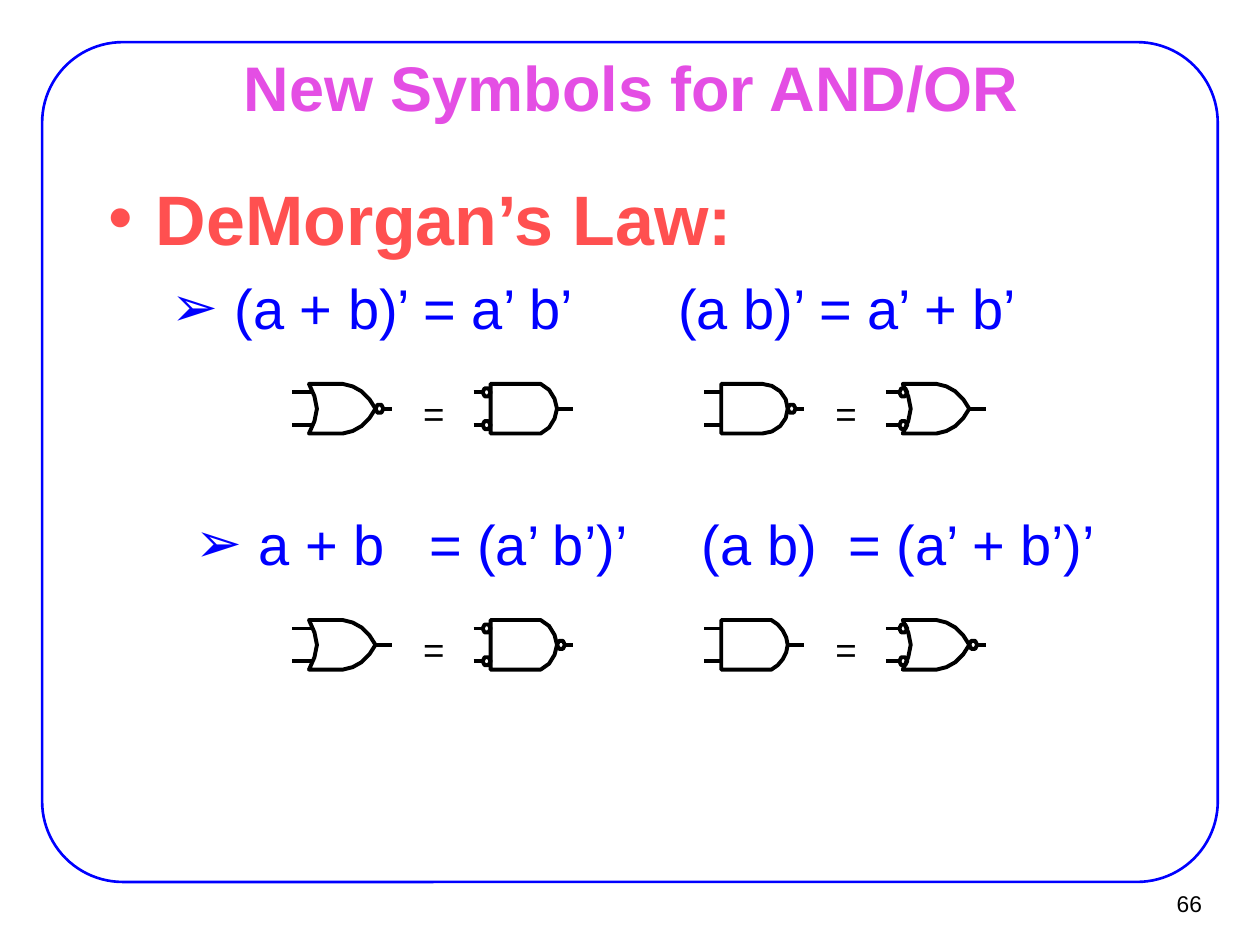
from lxml import etree
from pptx import Presentation
from pptx.dml.color import RGBColor
from pptx.enum.shapes import MSO_CONNECTOR, MSO_SHAPE
from pptx.enum.text import MSO_ANCHOR, PP_ALIGN
from pptx.oxml.ns import qn
from pptx.util import Cm, Pt

STRAIGHT = MSO_CONNECTOR.STRAIGHT
ROUNDED = MSO_SHAPE.ROUNDED_RECTANGLE
MIDDLE, TOP = MSO_ANCHOR.MIDDLE, MSO_ANCHOR.TOP
LEFT, CENTER, RIGHT = PP_ALIGN.LEFT, PP_ALIGN.CENTER, PP_ALIGN.RIGHT
BLACK, BLUE, RED, PINK = "000000", "0000FF", "FF5050", "E44EE4"


def color(value):
    return RGBColor.from_string(value)


def draw_outline(shapes, points):
    """Draw a closed, unfilled outline through points given in centimetres."""
    corners = [(Cm(x), Cm(y)) for x, y in points]
    builder = shapes.build_freeform(*corners[0], scale=1.0)
    builder.add_line_segments(corners[1:], close=True)
    shape = builder.convert_to_shape()
    shape.shadow.inherit = False
    shape.fill.background()
    shape.line.color.rgb = color(BLACK)
    shape.line.width = Pt(2.25)


presentation = Presentation()
presentation.slide_width, presentation.slide_height = Cm(25.4), Cm(19.05)
slide = presentation.slides.add_slide(presentation.slide_layouts[5])

# Frame
frame = slide.shapes.add_shape(ROUNDED, Cm(0.85), Cm(0.85), Cm(23.7), Cm(16.93))
frame.adjustments[0] = 0.096
frame.shadow.inherit = False
frame.fill.background()
frame.line.color.rgb = color(BLUE)
frame.line.width = Pt(1.5)

# Gate curves: upper right edge from the top to the tip, centre line at y = 0
CURVES = {
    "or": [(1.02, -0.5), (1.22, -0.45), (1.4, -0.35), (1.56, -0.19), (1.68, 0)],
    "and": [(1.35, -0.5), (1.52, -0.38), (1.63, -0.2), (1.68, 0)],
    "long and": [(1.17, -0.5), (1.36, -0.46), (1.53, -0.35), (1.64, -0.19), (1.68, 0)],
    "round and": [(1.35, -0.5), (1.48, -0.41), (1.58, -0.29), (1.65, -0.15), (1.68, 0)],
}
BACKS = {"or": [(0.34, 0.5), (0.45, 0.25), (0.5, 0), (0.45, -0.25), (0.34, -0.5)],
         "and": [(0.34, 0.5), (0.34, -0.5)]}
BUBBLE = [(0, 0), (0.04, -0.08), (0.12, -0.08), (0.16, 0), (0.12, 0.08), (0.04, 0.08)]
BUBBLE_WIDTH = 0.16
GATE_STEP = 3.66

# Each pair: left, centre line, two gates as (curve, inputs inverted, output inverted)
pairs = [
    (5.89, 8.24, [("or", False, True), ("and", True, False)]),
    (14.2, 8.24, [("long and", False, True), ("or", True, False)]),
    (5.89, 13, [("or", False, False), ("and", True, True)]),
    (14.2, 13, [("round and", False, False), ("or", True, True)]),
]
text_boxes = []
for pair_left, middle, gates in pairs:
    shapes = slide.shapes.add_group_shape().shapes
    for index, (curve, inputs_inverted, output_inverted) in enumerate(gates):
        left = pair_left + index * GATE_STEP
        upper = CURVES[curve]
        lower = [(x, -y) for x, y in reversed(upper[:-1])]
        back = BACKS["or" if curve == "or" else "and"]
        draw_outline(shapes, [(left + x, middle + y) for x, y in upper + lower + back])

        # Wires and inverting bubbles
        input_end = 0.43 if curve == "or" else 0.34
        wire_end = input_end - BUBBLE_WIDTH * inputs_inverted
        wires = [(0, wire_end, -0.33), (0, wire_end, 0.33),
                 (1.68 + BUBBLE_WIDTH * output_inverted, 2.01, 0)]
        bubbles = [(wire_end, -0.33), (wire_end, 0.33)] if inputs_inverted else []
        if output_inverted:
            bubbles.append((1.68, 0))
        for start, end, offset in wires:
            y = Cm(middle + offset)
            wire = shapes.add_connector(STRAIGHT, Cm(left + start), y, Cm(left + end), y)
            wire.line.color.rgb = color(BLACK)
            wire.line.width = Pt(2.25)
            etree.SubElement(wire._element.spPr, qn("a:effectLst"))
        for x, y in bubbles:
            draw_outline(shapes, [(left + x + dx, middle + y + dy) for dx, dy in BUBBLE])

    equals = shapes.add_textbox(Cm(pair_left + 2.64), Cm(middle - 0.37), Cm(0.43), Cm(0.89))
    text_boxes.append((equals, 0, 0, TOP, [
        dict(text="=", size=21, color=BLACK)]))

# Title, law, second pair of formulas and page number
title = slide.shapes.title
title.left, title.top, title.width, title.height = Cm(1.93), Cm(1.12), Cm(21.59), Cm(1.24)
law = slide.shapes.add_textbox(Cm(1.91), Cm(3.38), Cm(21.59), Cm(6.53))
inverse = slide.shapes.add_textbox(Cm(2.39), Cm(10.13), Cm(21.59), Cm(2.01))
number = slide.shapes.add_textbox(Cm(22.91), Cm(17.75), Cm(1.55), Cm(0.94))
text_boxes += [
    (title, 0.28, 0.15, MIDDLE, [
        dict(text="New Symbols for AND/OR", size=36, color=PINK, bold=True, align=CENTER)]),
    (law, 0.28, 0.15, TOP, [
        dict(text="DeMorgan’s Law:", size=40, color=RED, bold=True, before=4.5,
             bullet="•", margin=0.95, hanging=0.95),
        dict(text="(a + b)’ = a’ b’\t(a b)’ = a’ + b’", size=32, color=BLUE, before=8,
             bullet="➢", margin=2.54, hanging=1.27, tabs=[11.48])]),
    (inverse, 0.28, 0.15, TOP, [
        dict(text="a + b\t= (a’ b’)’\t(a b)\t= (a’ + b’)’", size=32, color=BLUE, before=3,
             bullet="➢", margin=2.54, hanging=1.27, tabs=[5.98, 11.48, 14.43])]),
    (number, 0.23, 0.1, MIDDLE, [
        dict(text="66", size=13, color=BLACK, align=RIGHT)]),
]

# Text and its format
for shape, side, edge, anchor, lines in text_boxes:
    frame_format = dict(word_wrap=True, vertical_anchor=anchor, margin_left=Cm(side),
                        margin_right=Cm(side), margin_top=Cm(edge), margin_bottom=Cm(edge))
    for name, value in frame_format.items():
        setattr(shape.text_frame, name, value)
    for index, line in enumerate(lines):
        paragraph = (shape.text_frame.add_paragraph() if index
                     else shape.text_frame.paragraphs[0])
        run = paragraph.add_run()
        run.text = line["text"]
        paragraph.alignment = line.get("align", LEFT)
        paragraph.space_before = Pt(line.get("before", 0))
        font_format = dict(name="Arial", size=Pt(line["size"]), bold=line.get("bold", False))
        for name, value in font_format.items():
            setattr(run.font, name, value)
        run.font.color.rgb = color(line["color"])
        if "bullet" in line:
            properties = paragraph._p.get_or_add_pPr()
            properties.set("marL", str(Cm(line["margin"])))
            properties.set("indent", str(-Cm(line["hanging"])))
            etree.SubElement(properties, qn("a:buFont"), typeface="Arial")
            etree.SubElement(properties, qn("a:buChar"), char=line["bullet"])
            tab_list = etree.SubElement(properties, qn("a:tabLst"))
            for position in line.get("tabs", []):
                etree.SubElement(tab_list, qn("a:tab"), pos=str(Cm(position)), algn="l")

presentation.save("out.pptx")
